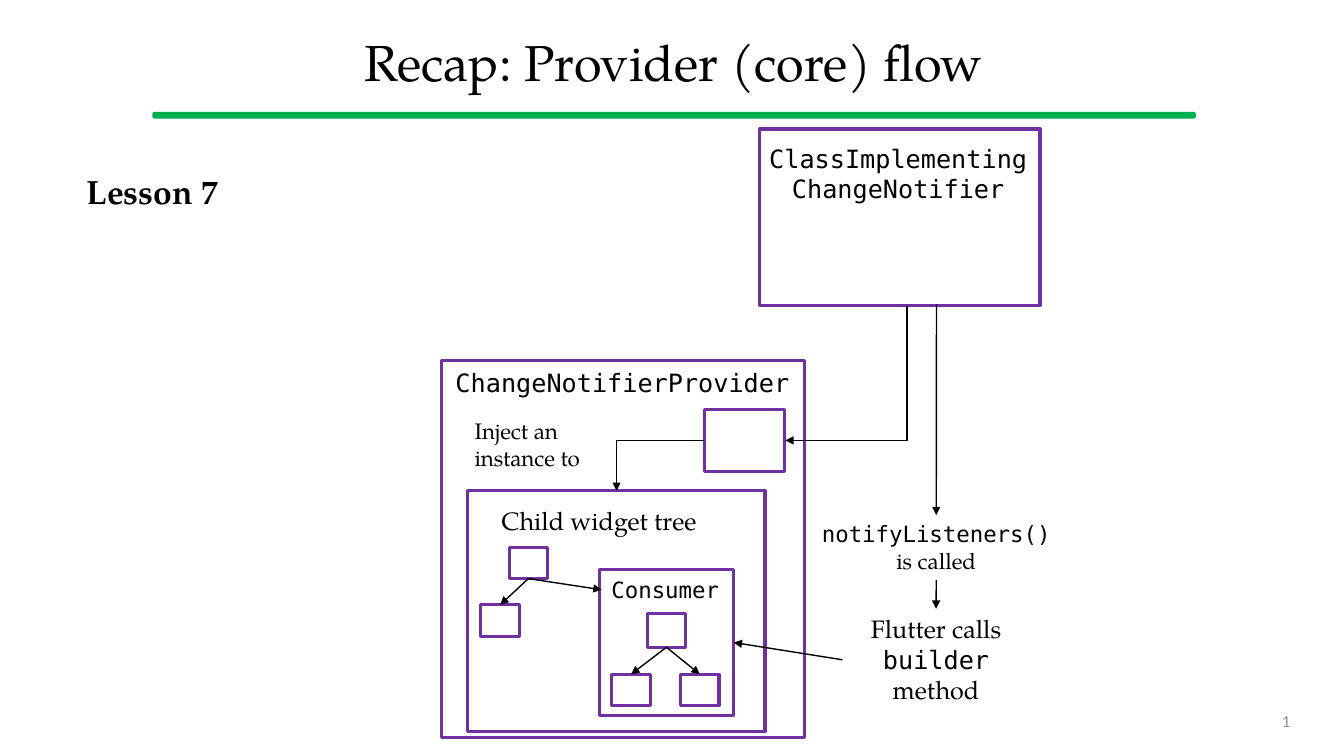
import dataclasses
import pptx
import pptx.util
import pptx.dml.color
import pptx.enum.shapes
import pptx.enum.text
import pptx.oxml
import pptx.oxml.ns

Cm = pptx.util.Cm
SHAPES = pptx.enum.shapes.MSO_SHAPE
CONNECTORS = pptx.enum.shapes.MSO_CONNECTOR
ALIGN = pptx.enum.text.PP_ALIGN
ANCHOR = pptx.enum.text.MSO_ANCHOR
AUTO_SIZE = pptx.enum.text.MSO_AUTO_SIZE
TOP, LEFT, BOTTOM, RIGHT = range(4)


@dataclasses.dataclass(frozen=True)
class Theme:
    serif: str = "TeX Gyre Pagella"
    mono: str = "DejaVu Sans Mono"
    sans: str = "Calibri"
    ink: str = "000000"
    frame: str = "7030A0"
    rule: str = "00B050"
    muted: str = "8C8C8C"
    title: int = 36
    heading: int = 24
    label: int = 18
    note: int = 16
    number: int = 12
    frame_width: float = 2.25
    line_width: float = 1


def rgb(color):
    return pptx.dml.color.RGBColor.from_string(color)


def xml(tag, **attributes):
    element = pptx.oxml.parse_xml(f"<{tag} {pptx.oxml.ns.nsdecls('a')}/>")
    for name, value in attributes.items():
        element.set(name, value)
    return element


class FlowSlide:
    def __init__(self, presentation, theme):
        self.theme = theme
        self.slide = presentation.slides.add_slide(presentation.slide_layouts[5])

    def style(self, font, name, size, color=None, bold=False):
        font.name = name
        font.size = pptx.util.Pt(size)
        font.bold = bold
        font.color.rgb = rgb(color or self.theme.ink)

    def title(self, text, left, top, width, height):
        shape = self.slide.shapes.title
        shape.left, shape.top = Cm(left), Cm(top)
        shape.width, shape.height = Cm(width), Cm(height)
        frame = shape.text_frame
        frame.text = text
        frame.vertical_anchor = ANCHOR.MIDDLE
        paragraph = frame.paragraphs[0]
        paragraph.alignment = ALIGN.CENTER
        paragraph.line_spacing = 0.9
        self.style(paragraph.font, self.theme.serif, self.theme.title)

    def rule(self, left, top, width, height):
        shape = self.slide.shapes.add_shape(
            SHAPES.ROUNDED_RECTANGLE, Cm(left), Cm(top), Cm(width), Cm(height))
        shape.adjustments[0] = 0.26
        shape.shadow.inherit = False
        shape.fill.solid()
        shape.fill.fore_color.rgb = rgb(self.theme.rule)
        shape.line.color.rgb = rgb(self.theme.rule)
        shape.line.width = pptx.util.Pt(self.theme.line_width)

    def box(self, left, top, width, height):
        shape = self.slide.shapes.add_shape(
            SHAPES.RECTANGLE, Cm(left), Cm(top), Cm(width), Cm(height))
        shape.shadow.inherit = False
        shape.fill.background()
        shape.line.color.rgb = rgb(self.theme.frame)
        shape.line.width = pptx.util.Pt(self.theme.frame_width)
        return shape

    def node(self, left, top, height=0.79):
        return self.box(left, top, 0.97, height)

    def text(self, parts, left, top, width, height, size,
             align=ALIGN.CENTER, bold=False, grow=True):
        shape = self.slide.shapes.add_textbox(Cm(left), Cm(top), Cm(width), Cm(height))
        frame = shape.text_frame
        frame.word_wrap = True
        frame.auto_size = AUTO_SIZE.SHAPE_TO_FIT_TEXT if grow else AUTO_SIZE.NONE
        paragraph = frame.paragraphs[0]
        paragraph.alignment = align
        self.style(paragraph.font, parts[0][1], size, bold=bold)
        for words, name in parts:
            run = paragraph.add_run()
            run.text = words
            if len(parts) > 1:
                run.font.name = name
        return shape

    def slide_number(self, text, left, top, width, height):
        shape = self.text([(text, self.theme.sans)], left, top, width, height,
                          self.theme.number, ALIGN.RIGHT, grow=False)
        shape.text_frame.vertical_anchor = ANCHOR.MIDDLE
        paragraph = shape.text_frame.paragraphs[0]
        run = paragraph.runs[0]
        self.style(run.font, self.theme.sans, self.theme.number, self.theme.muted)
        field = xml("a:fld", id="{5B1D7C52-3A0E-4F6B-9C1D-2E8F4A6B7C3D}", type="slidenum")
        field.extend(list(run._r))
        run._r.getparent().replace(run._r, field)

    def arrow(self, begin, end, kind=CONNECTORS.STRAIGHT):
        ends = [(0, 0) if hasattr(point[0], "shape_id") else point for point in (begin, end)]
        connector = self.slide.shapes.add_connector(
            kind, *(Cm(value) for point in ends for value in point))
        for point, join in ((begin, connector.begin_connect), (end, connector.end_connect)):
            if hasattr(point[0], "shape_id"):
                join(*point)
        connector.line.color.rgb = rgb(self.theme.ink)
        connector.line.width = pptx.util.Pt(self.theme.line_width)
        connector.line._get_or_add_ln().append(xml("a:tailEnd", type="triangle"))
        connector._element.spPr.append(xml("a:effectLst"))
        return connector

    def elbow(self, begin, end, down_first=False):
        if down_first:
            center_x, center_y = ((a + b) / 2 for a, b in zip(begin, end))
            half_width, half_height = (abs(a - b) / 2 for a, b in zip(begin, end))
            begin = center_x - half_height, center_y - half_width
            end = center_x + half_height, center_y + half_width
        properties = self.arrow(begin, end, CONNECTORS.ELBOW)._element.spPr
        properties.find(pptx.oxml.ns.qn("a:prstGeom")).set("prst", "bentConnector2")
        if down_first:
            properties.find(pptx.oxml.ns.qn("a:xfrm")).set("rot", "5400000")


def main():
    presentation = pptx.Presentation()
    presentation.slide_width, presentation.slide_height = Cm(33.87), Cm(19.05)
    theme = Theme()
    flow = FlowSlide(presentation, theme)
    serif, mono = theme.serif, theme.mono

    flow.rule(3.86, 2.84, 26.26, 0.13)
    flow.title("Recap: Provider (core) flow", 1.19, 0.46, 31.57, 2.39)
    lesson = flow.text([("Lesson 7", serif)], 1.93, 4.29, 4.65, 1.68, theme.heading,
                       ALIGN.LEFT, bold=True, grow=False)
    lesson.text_frame.paragraphs[0].line_spacing = 0.9

    flow.box(19.15, 3.25, 7.06, 4.45)
    flow.text([("ClassImplementingChangeNotifier", mono)], 19.08, 3.48, 7.11, 1.8, theme.label)
    notify = flow.text([("notifyListeners() ", mono), ("is called", serif)],
                       20.42, 12.98, 6.35, 1.63, theme.note)
    rebuild = flow.text([("Flutter calls ", serif), ("builder ", mono), ("method", serif)],
                        21.23, 15.34, 4.72, 2.57, theme.label)

    flow.box(11.13, 9.09, 9.14, 9.5)
    flow.text([("ChangeNotifierProvider", mono)], 10.92, 9.14, 9.53, 1.02, theme.label)
    flow.box(17.75, 10.31, 2.03, 1.57)
    flow.text([("Inject an instance to", serif)], 11.71, 10.39, 3.76, 1.63,
              theme.note, ALIGN.LEFT)

    flow.box(11.79, 12.37, 7.49, 6.07)
    flow.text([("Child widget tree", serif)], 12.37, 12.6, 5.46, 1.02, theme.label)
    consumer = flow.box(15.11, 14.35, 3.38, 3.68)
    flow.text([("Consumer", mono)], 15.16, 14.4, 3.25, 0.94, theme.note, ALIGN.LEFT)

    tree_root = flow.node(12.83, 13.79)
    tree_leaf = flow.node(12.12, 15.24)
    consumer_root = flow.node(16.31, 15.47, 0.84)
    consumer_leaves = [flow.node(left, 16.99) for left in (15.42, 17.15)]

    flow.arrow((tree_root, BOTTOM), (15.16, 14.86))
    for root, leaf in [(tree_root, tree_leaf)] + [(consumer_root, x) for x in consumer_leaves]:
        flow.arrow((root, BOTTOM), (leaf, TOP))
    flow.elbow((17.75, 11.1), (15.54, 12.37))
    flow.elbow((22.86, 7.72), (19.79, 11.1), down_first=True)
    flow.arrow((23.6, 7.67), (notify, TOP))
    flow.arrow((notify, BOTTOM), (rebuild, TOP))
    flow.arrow((rebuild, LEFT), (consumer, RIGHT))
    flow.slide_number("3", 23.93, 17.65, 8.84, 1.02)

    presentation.save("out.pptx")


if __name__ == "__main__":
    main()
